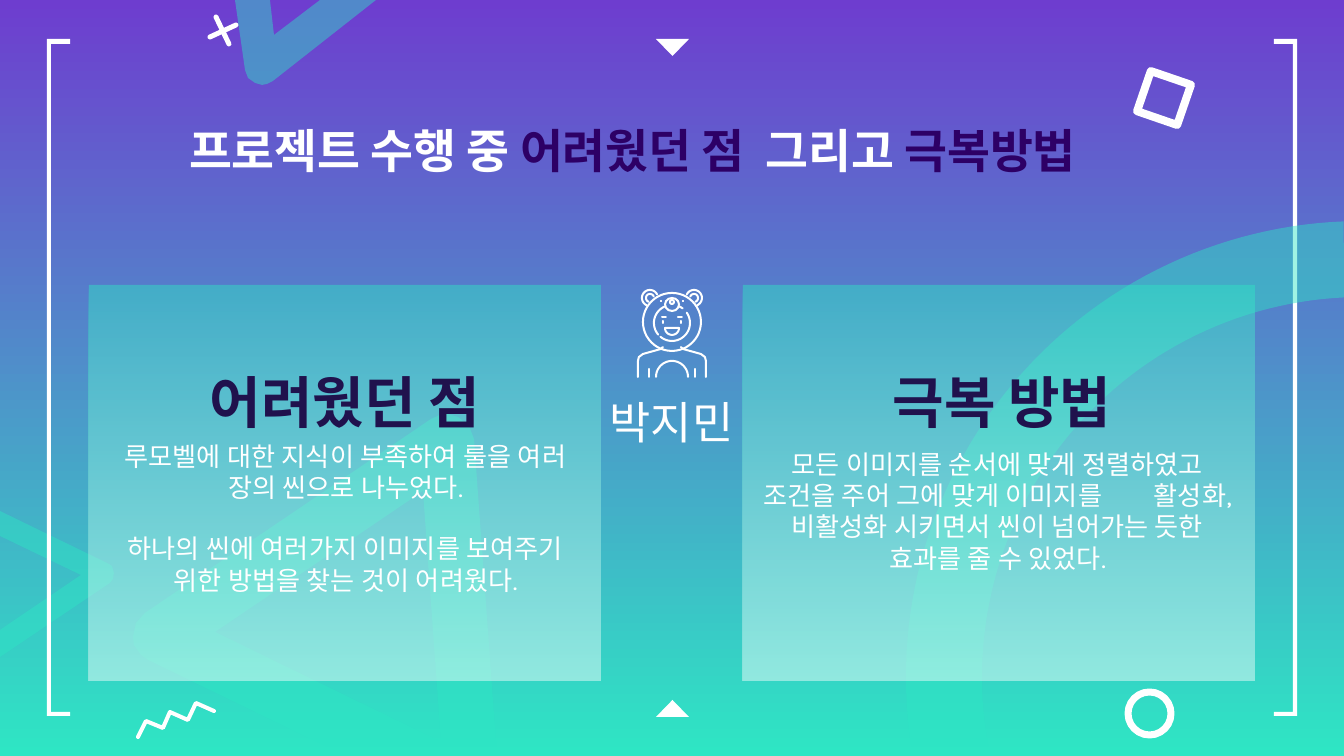
from dataclasses import dataclass
from math import cos, radians, sin
from typing import Optional

from lxml.etree import SubElement
from pptx import Presentation
from pptx.dml.color import RGBColor
from pptx.enum.shapes import MSO_CONNECTOR, MSO_SHAPE
from pptx.enum.text import MSO_ANCHOR, MSO_AUTO_SIZE, PP_ALIGN
from pptx.oxml.ns import qn
from pptx.util import Pt

SLIDE_WIDTH, SLIDE_HEIGHT = 1344, 756
EMU_PER_PX = 9144000 / SLIDE_WIDTH
WHITE, MINT, PURPLE = "FFFFFF", "2EE6C4", "6E3DCF"
INDIGO, NAVY = "2D0066", "20124D"
TRANSLUCENT = 45

Point = tuple[float, float]
Box = tuple[int, int, int, int]


@dataclass
class Stroke:
    points: list[Point]
    width: int = 2
    closed: bool = False


@dataclass
class Run:
    text: str
    color: Optional[str] = None
    spacing: int = 0


@dataclass
class TextStyle:
    font: str
    size: int
    color: str = WHITE
    bold: bool = False
    align: PP_ALIGN = PP_ALIGN.CENTER
    anchor: MSO_ANCHOR = MSO_ANCHOR.TOP
    inset: int = 13
    space_after: int = 16


def px(length: float) -> int:
    return round(length * EMU_PER_PX)


def rgb(value: str) -> RGBColor:
    return RGBColor.from_string(value)


def arc(x: int, y: int, radius: int, start: float, end: float, steps: int = 24) -> list[Point]:
    angles = [radians(start + (end - start) * i / steps) for i in range(steps + 1)]
    return [(x + radius * cos(a), y + radius * sin(a)) for a in angles]


def mirror(points: list[Point]) -> list[Point]:
    return [(SLIDE_WIDTH - x, y) for x, y in points]


def set_alpha(shape, percent: int) -> None:
    for color in list(shape._element.spPr.iter(qn("a:srgbClr"))):
        SubElement(color, qn("a:alpha")).set("val", str(percent * 1000))


def set_gradient(fill, top: str, bottom: str) -> None:
    fill.gradient()
    fill.gradient_angle = 270
    for stop, color in zip(fill.gradient_stops, (top, bottom)):
        stop.color.rgb = rgb(color)


def set_line(shape, width: int) -> None:
    shape.line.color.rgb = rgb(WHITE)
    shape.line.width = px(width)
    outline = shape._element.spPr.find(qn("a:ln"))
    outline.set("cap", "rnd")
    SubElement(outline, qn("a:round"))


def make_outline(slide, contours: list[list[Point]], closed: bool):
    scaled = [[(px(x), px(y)) for x, y in contour] for contour in contours]
    builder = slide.shapes.build_freeform(*scaled[0][0])
    builder.add_line_segments(scaled[0][1:], close=closed)
    for contour in scaled[1:]:
        builder.move_to(*contour[0])
        builder.add_line_segments(contour[1:], close=closed)
    shape = builder.convert_to_shape()
    shape.shadow.inherit = False
    return shape


def draw_polygon(slide, contours: list[list[Point]], color: str, alpha: int = 100) -> None:
    shape = make_outline(slide, contours, True)
    shape.fill.solid()
    shape.fill.fore_color.rgb = rgb(color)
    shape.line.fill.background()
    if alpha < 100:
        set_alpha(shape, alpha)


def draw_stroke(slide, stroke: Stroke) -> None:
    if len(stroke.points) == 2:
        ends = [px(value) for point in stroke.points for value in point]
        line = slide.shapes.add_connector(MSO_CONNECTOR.STRAIGHT, *ends)
        set_line(line, stroke.width)
        SubElement(line._element.spPr, qn("a:effectLst"))
        return
    shape = make_outline(slide, [stroke.points], stroke.closed)
    shape.fill.background()
    set_line(shape, stroke.width)


def add_preset(slide, kind: MSO_SHAPE, box: Box, color: Optional[str] = None, width: int = 0):
    shape = slide.shapes.add_shape(kind, *map(px, box))
    shape.shadow.inherit = False
    if color:
        shape.fill.solid()
        shape.fill.fore_color.rgb = rgb(color)
    else:
        shape.fill.background()
    if width:
        set_line(shape, width)
    else:
        shape.line.fill.background()
    return shape


def write_text(shape, box: Box, paragraphs: list[list[Run]], style: TextStyle) -> None:
    shape.left, shape.top, shape.width, shape.height = map(px, box)
    frame = shape.text_frame
    frame.word_wrap = True
    frame.auto_size = MSO_AUTO_SIZE.NONE
    frame.vertical_anchor = style.anchor
    frame.margin_left = frame.margin_right = px(13)
    frame.margin_top = frame.margin_bottom = px(style.inset)
    for index, runs in enumerate(paragraphs):
        paragraph = frame.add_paragraph() if index else frame.paragraphs[0]
        paragraph.alignment = style.align
        paragraph.space_after = Pt(style.space_after)
        paragraph.font.name = style.font
        paragraph.font.size = Pt(style.size)
        paragraph.font.bold = style.bold
        paragraph.font.color.rgb = rgb(style.color)
        SubElement(paragraph.font._element, qn("a:ea")).set("typeface", style.font)
        for part in runs:
            run = paragraph.add_run()
            run.text = part.text
            if part.color:
                run.font.color.rgb = rgb(part.color)
            if part.spacing:
                run.font._element.set("spc", str(part.spacing * 100))


def add_text(slide, box: Box, paragraphs: list[list[Run]], style: TextStyle) -> None:
    write_text(slide.shapes.add_textbox(*map(px, box)), box, paragraphs, style)


def draw_decorations(slide) -> None:
    left_chevron = [(0, 657), (0, 630), (81, 575), (0, 536), (0, 511), (107, 563),
                    (112, 566), (114, 573), (113, 579), (110, 583)]
    draw_polygon(slide, [left_chevron], MINT, TRANSLUCENT)
    for top, rotation in ((39, 180), (700, 0)):
        marker = add_preset(slide, MSO_SHAPE.ISOSCELES_TRIANGLE, (656, top, 33, 17), WHITE)
        marker.rotation = rotation
    bracket = [(47, 39), (70, 39), (70, 44), (51, 44), (51, 712), (70, 712), (70, 716), (47, 716)]
    for side in (bracket, mirror(bracket)):
        draw_polygon(slide, [side], WHITE)
    zigzag = [(138, 737), (146, 721), (163, 728), (170, 712), (188, 720), (196, 703), (214, 711)]
    for stroke in (
        Stroke(arc(1164, 98, 30, 244, 514, 3), 8, True),
        Stroke([(210, 37), (236, 25)], 5),
        Stroke([(216, 17), (229, 44)], 5),
        Stroke(zigzag, 4),
    ):
        draw_stroke(slide, stroke)
    add_preset(slide, MSO_SHAPE.OVAL, (1128, 692, 43, 43), width=7)
    band = arc(1362, 677, 456, 170, 267.7, 60) + arc(1362, 677, 380, 267.3, 168, 60)
    draw_polygon(slide, [band], MINT, TRANSLUCENT)
    triangle = [(431, 419), (440, 415), (448, 414), (458, 417), (469, 426), (474, 439), (497, 756),
                (346, 756), (148, 660), (141, 655), (134, 645), (133, 637), (136, 623), (145, 613)]
    triangle_hole = [(423, 491), (215, 632), (441, 742)]
    draw_polygon(slide, [triangle, triangle_hole], MINT, TRANSLUCENT)
    top_corner = [(376, 0), (273, 81), (267, 84), (262, 85), (255, 83), (248, 78), (245, 70),
                  (235, 0), (270, 0), (274, 35), (320, 0)]
    draw_polygon(slide, [top_corner], MINT, TRANSLUCENT)


def draw_bear_costume(slide) -> None:
    ear, inner_ear = arc(650, 298, 8, 115, 335), arc(650, 298, 4, 110, 340)
    shoulder = [(638, 377), (638, 361), (639, 357), (643, 354), (661, 349), (663, 347)]
    brow, sleeve = [(662, 317), (666, 317)], [(649, 369), (649, 377)]
    for half in (ear, inner_ear, shoulder, brow, sleeve):
        for points in (half, mirror(half)):
            draw_stroke(slide, Stroke(points))
    for hood in (arc(672, 323, 18, 140, 246), arc(672, 323, 18, 292, 306),
                 arc(672, 323, 18, 325, 490), arc(672, 377, 16, 180, 360)):
        draw_stroke(slide, Stroke(hood))
    draw_stroke(slide, Stroke(arc(672, 328, 7, 0, 180), closed=True))
    for box in ((643, 293, 58, 58), (665, 298, 14, 13), (670, 300, 4, 4)):
        add_preset(slide, MSO_SHAPE.OVAL, box, width=2)
    for left, top, height in ((662, 320, 4), (660, 300, 2)):
        for x in (left, SLIDE_WIDTH - left - 2):
            add_preset(slide, MSO_SHAPE.OVAL, (x, top, 2, height), WHITE)


def main() -> None:
    presentation = Presentation()
    presentation.slide_width, presentation.slide_height = px(SLIDE_WIDTH), px(SLIDE_HEIGHT)
    slide = presentation.slides.add_slide(presentation.slide_layouts[5])
    set_gradient(slide.background.fill, PURPLE, MINT)
    draw_decorations(slide)
    for left in (89, 743):
        card = add_preset(slide, MSO_SHAPE.RECTANGLE, (left, 285, 512, 396))
        set_gradient(card.fill, MINT, WHITE)
        set_alpha(card, TRANSLUCENT)

    title = [Run("프로젝트 수행 중 ", WHITE), Run("어려웠던 점  ", INDIGO),
             Run("그리고 ", WHITE), Run("극복방법", INDIGO)]
    title_style = TextStyle("Calibri", 25, bold=True, align=PP_ALIGN.LEFT, space_after=0)
    write_text(slide.shapes.title, (176, 109, 992, 72), [title], title_style)

    body = TextStyle("Karla", 14)
    difficulties = [[Run("루모벨에 대한 지식이 부족하여 룰을 여러 장의 씬으로 나누었다.")],
                    [Run("하나의 씬에 여러가지 이미지를 보여주기 위한 방법을 찾는 것이 어려웠다.")]]
    solutions = [[Run("모든 이미지를 순서에 맞게 정렬하였고 조건을 주어 그에 맞게 이미지를"),
                  Run(" ", spacing=24),
                  Run("활성화, 비활성화 시키면서 씬이 넘어가는 듯한 효과를 줄 수 있었다.")]]
    add_text(slide, (97, 427, 497, 230), difficulties, body)
    add_text(slide, (749, 435, 497, 230), solutions, body)

    heading = TextStyle("Calibri", 30, NAVY, True, anchor=MSO_ANCHOR.BOTTOM, inset=0)
    for left, label in ((108, "어려웠던 점"), (765, "극복 방법")):
        add_text(slide, (left, 321, 474, 114), [[Run(label)]], heading)
    add_text(slide, (423, 390, 497, 77), [[Run("박지민")]], TextStyle("Calibri", 24, inset=5))
    draw_bear_costume(slide)
    presentation.save("out.pptx")


if __name__ == "__main__":
    main()
